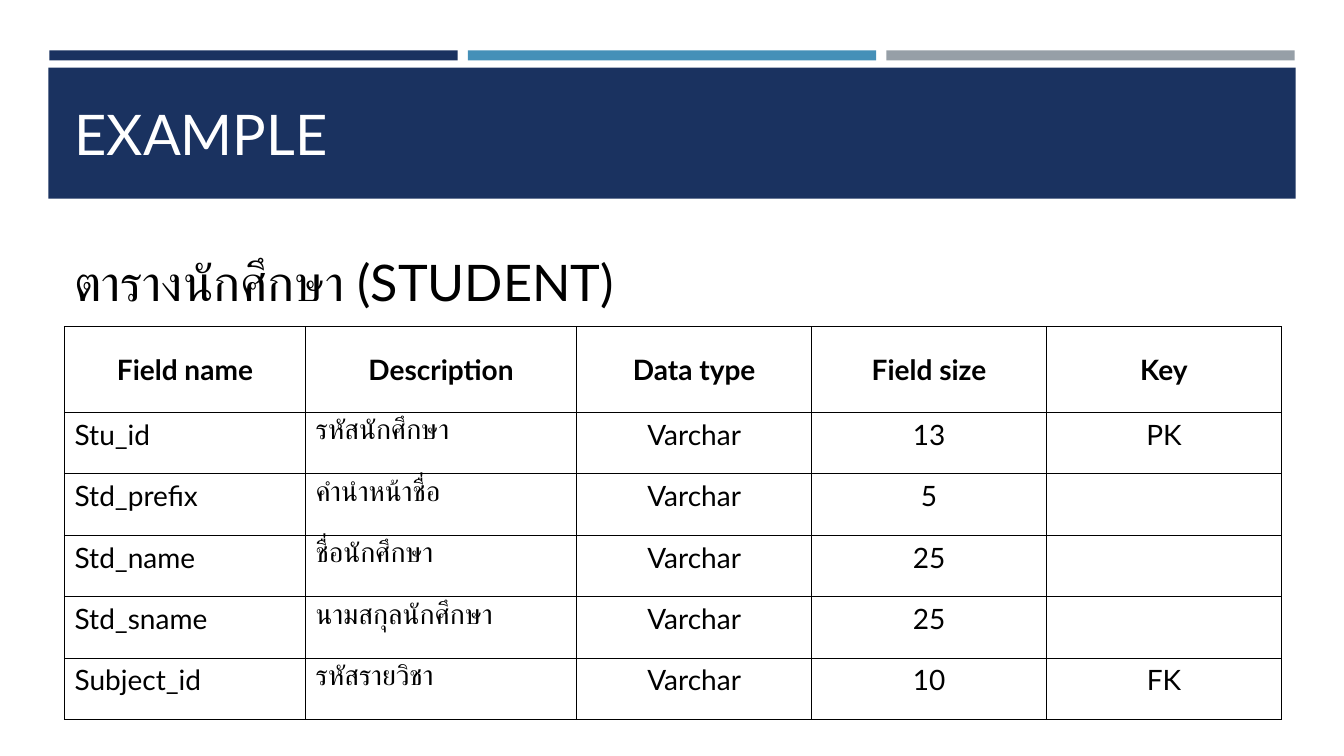
from lxml.etree import SubElement
from pptx import Presentation
from pptx.dml.color import RGBColor
from pptx.enum.shapes import MSO_SHAPE
from pptx.enum.text import MSO_ANCHOR, PP_ALIGN
from pptx.oxml.ns import qn
from pptx.util import Inches, Pt

COLORS = {
    "navy": "1A3260",
    "blue": "4590B8",
    "gray": "969FA7",
    "white": "FFFFFF",
    "black": "000000",
}
COLUMN_WIDTHS = [2.39, 2.69, 2.33, 2.33, 2.33]
HEADER_HEIGHT, ROW_HEIGHT = 0.85, 0.61
STUDENT_FIELDS = [
    ["Field name", "Description", "Data type", "Field size", "Key"],
    ["Stu_id", "รหัสนักศึกษา", "Varchar", "13", "PK"],
    ["Std_prefix", "คำนำหน้าชื่อ", "Varchar", "5", ""],
    ["Std_name", "ชื่อนักศึกษา", "Varchar", "25", ""],
    ["Std_sname", "นามสกุลนักศึกษา", "Varchar", "25", ""],
    ["Subject_id", "รหัสรายวิชา", "Varchar", "10", "FK"],
]


def color(name):
    return RGBColor.from_string(COLORS[name])


def write(frame, text, size=20, ink="black", bold=False, align=PP_ALIGN.LEFT):
    para = frame.paragraphs[0]
    para.alignment = align
    para.font.size = Pt(size)
    if text:
        span = para.add_run()
        span.text = text
        span.font.name = "Lato"
        span.font.size = Pt(size)
        span.font.bold = bold
        span.font.color.rgb = color(ink)


def add_borders(cell, ink="black", width=1):
    properties = cell._tc.get_or_add_tcPr()
    for position, side in enumerate(("a:lnL", "a:lnR", "a:lnT", "a:lnB")):
        line = properties.makeelement(qn(side), {"w": str(Pt(width))})
        fill = SubElement(line, qn("a:solidFill"))
        SubElement(fill, qn("a:srgbClr"), val=COLORS[ink])
        properties.insert(position, line)


class SlideBuilder:
    def __init__(self, page, font_color="black"):
        self.page = page
        self.font_color = font_color

    def bar(self, left, top, width, height, fill):
        box = self.page.shapes.add_shape(
            MSO_SHAPE.RECTANGLE, Inches(left), Inches(top), Inches(width), Inches(height))
        box.shadow.inherit = False
        box.fill.solid()
        box.fill.fore_color.rgb = color(fill)
        box.line.fill.background()

    def text(self, left, top, width, height, text, anchor=MSO_ANCHOR.TOP, **style):
        box = self.page.shapes.add_textbox(
            Inches(left), Inches(top), Inches(width), Inches(height))
        frame = box.text_frame
        frame.word_wrap = True
        frame.vertical_anchor = anchor
        write(frame, text, **{"ink": self.font_color, **style})

    def table(self, left, top, rows, widths, header_height, row_height):
        height = header_height + row_height * (len(rows) - 1)
        table = self.page.shapes.add_table(
            len(rows), len(widths), Inches(left), Inches(top),
            Inches(sum(widths)), Inches(height)).table
        for column, width in zip(table.columns, widths):
            column.width = Inches(width)
        for r, values in enumerate(rows):
            header = r == 0
            table.rows[r].height = Inches(header_height if header else row_height)
            for c, value in enumerate(values):
                cell = table.cell(r, c)
                cell.fill.background()
                cell.vertical_anchor = MSO_ANCHOR.MIDDLE if header else MSO_ANCHOR.TOP
                centered = header or c >= 2
                write(cell.text_frame, value, ink=self.font_color, bold=header,
                      align=PP_ALIGN.CENTER if centered else PP_ALIGN.LEFT)
                add_borders(cell)


def main():
    deck = Presentation()
    deck.slide_width, deck.slide_height = Inches(13.33), Inches(7.5)
    page = deck.slides.add_slide(deck.slide_layouts[6])
    builder = SlideBuilder(page)

    # Accent bars and title band
    for index, fill in enumerate(("navy", "blue", "gray")):
        builder.bar(0.49 + index * 4.15, 0.5, 4.05, 0.1, fill)
    builder.bar(0.48, 0.67, 12.37, 1.3, "navy")
    builder.text(0.64, 0.77, 12.06, 1.11, "EXAMPLE",
                 anchor=MSO_ANCHOR.MIDDLE, size=40, ink="white")

    # Student table with its heading
    builder.table(0.64, 3.24, STUDENT_FIELDS, COLUMN_WIDTHS, HEADER_HEIGHT, ROW_HEIGHT)
    builder.text(0.64, 2.44, 9, 0.71, "ตารางนักศึกษา (STUDENT)", size=36)

    deck.save("out.pptx")


if __name__ == "__main__":
    main()
